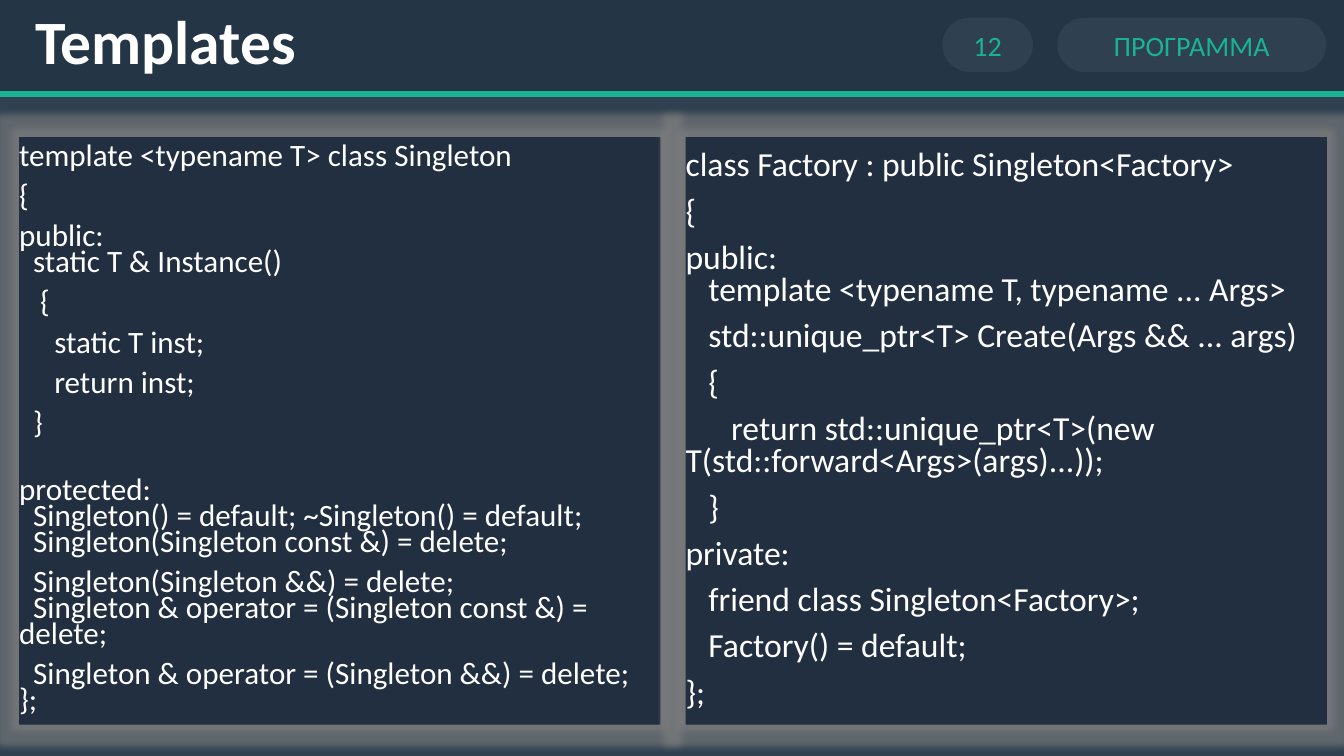
from pptx import Presentation
from pptx.dml.color import RGBColor
from pptx.enum.shapes import MSO_SHAPE
from pptx.enum.text import MSO_ANCHOR, PP_ALIGN
from pptx.oxml import parse_xml
from pptx.oxml.ns import nsdecls
from pptx.util import Inches, Pt

WHITE, GREEN = "FFFFFF", "1AB394"
BACKGROUND, HEADER, PANEL = "2F4050", "243545", "222F40"


def color(hex_string):
    return RGBColor.from_string(hex_string)


def add_box(slide, kind, position, fill, line, line_width, paragraphs, size, text_color):
    shape = slide.shapes.add_shape(kind, *[Inches(value) for value in position])
    shape.shadow.inherit = False
    shape.fill.solid()
    shape.fill.fore_color.rgb = color(fill)
    if line:
        shape.line.color.rgb = color(line)
        shape.line.width = Pt(line_width)
    else:
        shape.line.fill.background()
    frame = shape.text_frame
    frame.word_wrap = True
    frame.vertical_anchor = MSO_ANCHOR.MIDDLE
    frame.margin_left = frame.margin_right = frame.margin_top = frame.margin_bottom = 0
    for index, text in enumerate(paragraphs):
        paragraph = frame.add_paragraph() if index else frame.paragraphs[0]
        paragraph.text = text
        paragraph.alignment = PP_ALIGN.LEFT
        for run in paragraph.runs:
            run.font.name = "Calibri"
            run.font.size = Pt(size)
            run.font.color.rgb = color(text_color)
    return shape


presentation = Presentation()
presentation.slide_width = Inches(13.33)
presentation.slide_height = Inches(7.5)
slide = presentation.slides.add_slide(presentation.slide_layouts[6])
slide.background.fill.solid()
slide.background.fill.fore_color.rgb = color(BACKGROUND)

# Code listings, one entry per paragraph
singleton_code = [
    "template <typename T> class Singleton",
    "{",
    "public:\n  static T & Instance()",
    "   {",
    "     static T inst;",
    "     return inst;",
    "  }",
    "protected:\n  Singleton() = default; ~Singleton() = default;\n"
    "  Singleton(Singleton const &) = delete;",
    "  Singleton(Singleton &&) = delete;\n"
    "  Singleton & operator = (Singleton const &) = delete;",
    "  Singleton & operator = (Singleton &&) = delete;\n};",
]
factory_code = [
    "class Factory : public Singleton<Factory>",
    "{",
    "public:\n   template <typename T, typename ... Args>",
    "   std::unique_ptr<T> Create(Args && ... args)",
    "   {",
    "      return std::unique_ptr<T>(new T(std::forward<Args>(args)...));",
    "   }",
    "private:",
    "   friend class Singleton<Factory>;",
    "   Factory() = default;",
    "};",
]

# Code panels with a soft glow
for left, code, size, spacing in [(0.19, singleton_code, 22.2, 0.7),
                                  (6.8, factory_code, 24, 0.8)]:
    panel = add_box(slide, MSO_SHAPE.RECTANGLE, (left, 1.36, 6.36, 5.83),
                    PANEL, None, 0, code, size, WHITE)
    for index, paragraph in enumerate(panel.text_frame.paragraphs):
        paragraph.line_spacing = spacing
        paragraph.space_before = Pt(10 if index else 0)
        if paragraph.text.startswith("protected:"):
            paragraph.space_before = Pt(29)
    effects = panel._element.spPr.find(
        "{http://schemas.openxmlformats.org/drawingml/2006/main}effectLst")
    effects.append(parse_xml(
        f'<a:glow {nsdecls("a")} rad="{Inches(0.15)}"><a:srgbClr val="808080">'
        '<a:alpha val="60000"/></a:srgbClr></a:glow>'))

# Header bar with the title
header = add_box(slide, MSO_SHAPE.RECTANGLE, (-0.04, -0.04, 13.43, 0.97),
                 HEADER, GREEN, 4.5, ["Templates"], 44, WHITE)
header.text_frame.margin_left = Inches(0.39)
title = header.text_frame.paragraphs[0]
title.line_spacing = 0.9
title.runs[0].font.bold = True

# Page number and course name pills
for left, width, label in [(9.34, 0.91, "12"), (10.48, 2.68, "ПРОГРАММА")]:
    pill = add_box(slide, MSO_SHAPE.ROUNDED_RECTANGLE, (left, 0.17, width, 0.55),
                   BACKGROUND, HEADER, 0.75, [label], 20, GREEN)
    pill.adjustments[0] = 0.5
    pill.text_frame.paragraphs[0].alignment = PP_ALIGN.CENTER

presentation.save("out.pptx")
